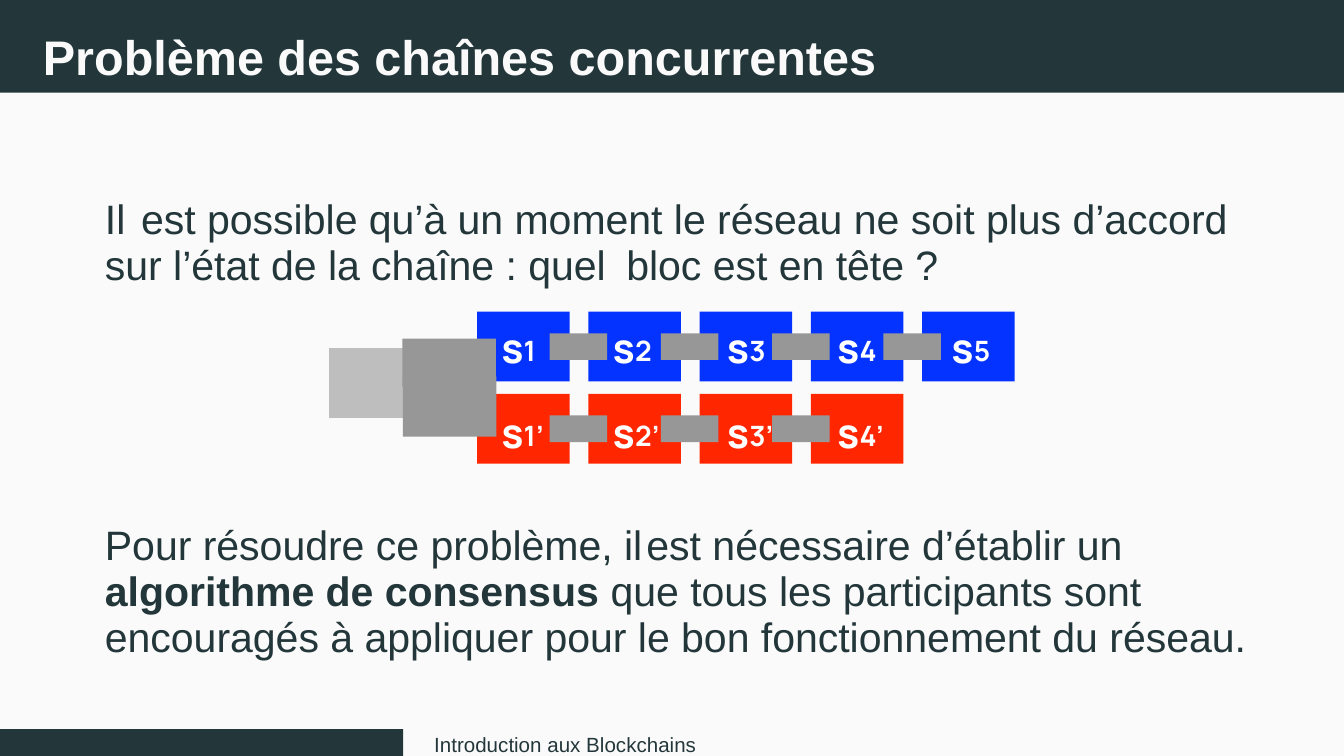
from pptx import Presentation
from pptx.dml.color import RGBColor
from pptx.enum.shapes import MSO_SHAPE
from pptx.enum.text import MSO_ANCHOR, MSO_AUTO_SIZE, PP_ALIGN
from pptx.util import Pt

RECT = MSO_SHAPE.RECTANGLE
TOP = MSO_ANCHOR.TOP
FIXED = MSO_AUTO_SIZE.NONE
LEFT = PP_ALIGN.LEFT

PAPER = RGBColor(0xFA, 0xFA, 0xFA)
INK = RGBColor(0x23, 0x37, 0x3B)
BLUE = RGBColor(0x04, 0x33, 0xFF)
RED = RGBColor(0xFF, 0x26, 0x00)
PALE = RGBColor(0xBF, 0xBE, 0xBE)
GREY = RGBColor(0x97, 0x97, 0x97)
WHITE = RGBColor(0xFF, 0xFF, 0xFF)

SANS = "Arial"
ROUND = "Manrope"


class Deck:
    def __init__(self, wide, high):
        self.prs = Presentation()
        self.prs.slide_width, self.prs.slide_height = Pt(wide), Pt(high)

    def start(self):
        self.slide = self.prs.slides.add_slide(self.prs.slide_layouts[5])
        fill = self.slide.background.fill
        fill.solid()
        fill.fore_color.rgb = PAPER

    def rect(self, x, y, w, h, color):
        box = self.slide.shapes.add_shape(RECT, Pt(x), Pt(y), Pt(w), Pt(h))
        box.shadow.inherit = False
        box.fill.solid()
        box.fill.fore_color.rgb = color
        box.line.fill.background()
        return box

    def style(self, shape, size, color, font, bold, drop):
        frame = shape.text_frame
        frame.auto_size = FIXED
        frame.word_wrap = False
        frame.vertical_anchor = TOP
        frame.margin_left = frame.margin_right = frame.margin_bottom = 0
        frame.margin_top = Pt(drop)
        para = frame.paragraphs[0]
        para.alignment = LEFT
        for run in para.runs:
            run.font.name = font
            run.font.size = Pt(size)
            run.font.bold = bold
            run.font.color.rgb = color

    def title(self, text, x, y, w, h, band):
        head = self.slide.shapes.title
        head.left, head.top, head.width, head.height = Pt(x), Pt(y), Pt(w), Pt(h)
        head.text_frame.text = text
        self.style(head, 26, PAPER, SANS, True, 2.5)
        band.element.addnext(head.element)

    def text(self, text, x, y, w, h, size=22, color=INK, font=SANS,
             bold=False, drop=0, tail=""):
        box = self.slide.shapes.add_textbox(Pt(x), Pt(y), Pt(w), Pt(h))
        box.text_frame.text = text
        para = box.text_frame.paragraphs[0]
        if tail:
            para.add_run().text = tail
        self.style(box, size, color, font, bold, drop)
        if tail:
            para.runs[-1].font.bold = False

    def line(self, text, x, y, w, **look):
        self.text(text, x, y, w, 20.9, drop=2, **look)

    def save(self):
        self.prs.save("out.pptx")


# Block grid
START, PITCH = 255.6, 59.6
INSETS = [13, 13, 14.6, 14.1, 15.7]
# Color, mark, block count, block top, label top
CHAINS = [(BLUE, "", 5, 167, 172.8), (RED, "’", 4, 211, 218.2)]


def main():
    deck = Deck(720, 405)
    deck.start()

    # Title band
    band = deck.rect(0, 0, 720, 49.7, INK)
    deck.title("Problème des chaînes concurrentes", 23, 12.2, 574, 25.2, band)

    # Question
    deck.line("Il", 56.2, 101.5, 24)
    deck.line("est possible qu’à un moment le réseau ne soit plus d’accord",
              75.6, 101.5, 719)
    deck.line("sur l’état de la chaîne : quel", 56.2, 126, 335)
    deck.line("bloc est en tête ?", 335.5, 126, 207)

    # Competing chains: blocks and labels
    deck.rect(176.4, 186.5, 49.6, 37.4, PALE)
    for color, mark, count, top, base in CHAINS:
        for i in range(count):
            left = START + i * PITCH
            deck.rect(left, top, 49.6, 37.4, color)
            x = left + INSETS[i]
            deck.text("s", x, base, 23.8, 20.9, 22, WHITE, ROUND, True)
            deck.text(f"{i + 1}{mark}", x + 12, base + 5.8, 16.5, 13.7,
                      15, WHITE, ROUND, True)

    # Links over the blocks
    deck.rect(215.6, 181.4, 50.1, 25.9, GREY)
    deck.rect(215.8, 201.6, 50.1, 32.4, GREY)
    for color, mark, count, top, base in CHAINS:
        for i in range(count - 1):
            deck.rect(START + i * PITCH + 38.9, top + 11.6, 30.8, 14.3, GREY)

    # Answer
    deck.line("Pour résoudre ce problème, il", 56.2, 276.5, 353)
    deck.line("est nécessaire d’établir un", 346.3, 276.5, 317)
    deck.line("algorithme de consensus", 56.2, 301, 697, bold=True,
              tail=" que tous les participants sont")
    deck.line("encouragés à appliquer pour le bon fonctionnement du réseau.",
              56.2, 325.7, 754)

    # Footer
    deck.rect(0, 390.6, 216, 14.4, INK)
    deck.text("Introduction aux Blockchains", 232.6, 392.4, 173.5, 10.1, 11)

    deck.save()


if __name__ == "__main__":
    main()
